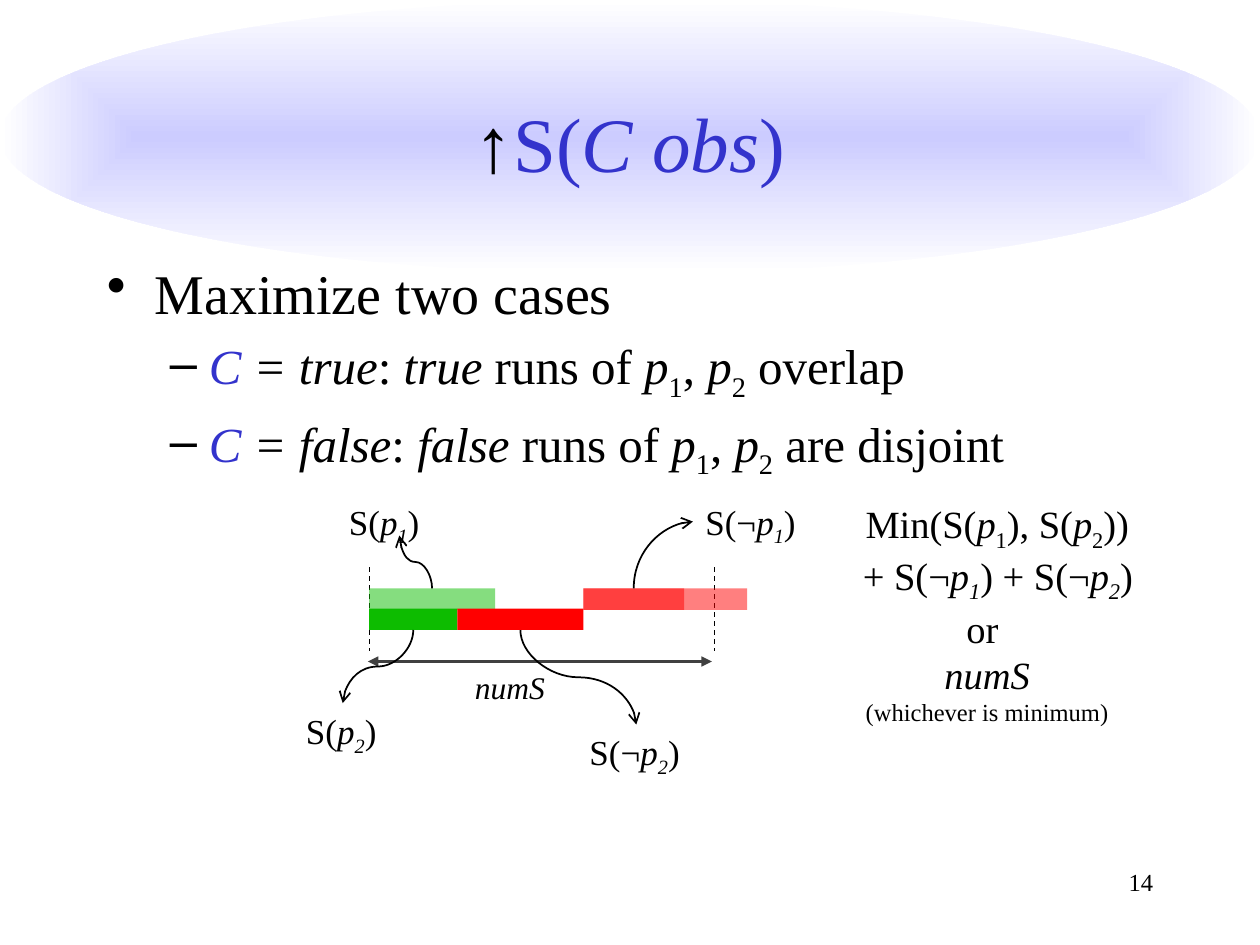
from lxml.etree import SubElement
from pptx import Presentation
from pptx.dml.color import RGBColor
from pptx.enum.dml import MSO_LINE
from pptx.enum.shapes import MSO_CONNECTOR, MSO_SHAPE
from pptx.enum.text import MSO_ANCHOR, MSO_AUTO_SIZE, PP_ALIGN
from pptx.oxml.ns import qn
from pptx.util import Inches, Pt

BLACK, BLUE, GREEN, RED = "000000", "3333CC", "0DBC00", "FF0000"
BAR_HEIGHT = 0.17
UPPER_BAR, LOWER_BAR = 4.67, 4.83


def color(value):
    return RGBColor.from_string(value)


def add_background(slide):
    shape = slide.shapes.add_shape(MSO_SHAPE.OVAL, 0, 0, Inches(10), Inches(2.17))
    shape.shadow.inherit = False
    shape.line.fill.background()
    shape.fill.gradient()
    for stop, value in zip(shape.fill.gradient_stops, ("CCCCFF", "FFFFFF")):
        stop.color.rgb = color(value)
    gradient = shape._element.spPr.find(qn("a:gradFill"))
    gradient.remove(gradient.find(qn("a:lin")))
    shading = SubElement(gradient, qn("a:path"))
    shading.set("path", "shape")
    focus = SubElement(shading, qn("a:fillToRect"))
    for side in "ltrb":
        focus.set(side, "50000")


def add_bar(slide, left, top, width, fill, opacity=100):
    shape = slide.shapes.add_shape(
        MSO_SHAPE.RECTANGLE, Inches(left), Inches(top), Inches(width), Inches(BAR_HEIGHT))
    shape.shadow.inherit = False
    shape.line.fill.background()
    shape.fill.solid()
    shape.fill.fore_color.rgb = color(fill)
    if opacity < 100:
        rgb = shape._element.spPr.find(qn("a:solidFill")).find(qn("a:srgbClr"))
        SubElement(rgb, qn("a:alpha")).set("val", str(opacity * 1000))


def add_line(slide, start, end, width, stroke=BLACK, kind=MSO_CONNECTOR.STRAIGHT,
             head=None, tail=None, dash=None):
    connector = slide.shapes.add_connector(
        kind, *(Inches(value) for value in (*start, *end)))
    connector.line.width = Pt(width)
    connector.line.color.rgb = color(stroke)
    if dash:
        connector.line.dash_style = dash
    outline = connector.line._get_or_add_ln()
    for tag, arrow in (("a:headEnd", head), ("a:tailEnd", tail)):
        if arrow:
            SubElement(outline, qn(tag)).set("type", arrow)
    SubElement(connector._element.spPr, qn("a:effectLst"))
    return connector


def add_curve(slide, start, end, preset="curvedConnector3"):
    (x1, y1), (x2, y2) = start, end
    middle_x, middle_y = (x1 + x2) / 2, (y1 + y2) / 2
    half_x, half_y = (y2 - y1) / 2, (x1 - x2) / 2
    connector = add_line(
        slide, (middle_x - half_x, middle_y - half_y),
        (middle_x + half_x, middle_y + half_y), 1,
        kind=MSO_CONNECTOR.CURVE, tail="arrow")
    properties = connector._element.spPr
    properties.find(qn("a:xfrm")).set("rot", "5400000")
    properties.find(qn("a:prstGeom")).set("prst", preset)


def add_text_box(slide, left, top, width, height, wrap=True):
    box = slide.shapes.add_textbox(
        Inches(left), Inches(top), Inches(width), Inches(height))
    box.text_frame.word_wrap = wrap
    if not wrap:
        box.text_frame.auto_size = MSO_AUTO_SIZE.SHAPE_TO_FIT_TEXT
    return box.text_frame


def write(paragraph, runs, size, align=PP_ALIGN.LEFT):
    paragraph.alignment = align
    paragraph.font.name = "Times New Roman"
    paragraph.font.size = Pt(size)
    paragraph.font.color.rgb = color(BLACK)
    for text, style in runs:
        run = paragraph.add_run()
        run.text = text
        if "i" in style:
            run.font.italic = True
        if "b" in style:
            run.font.color.rgb = color(BLUE)
        if "s" in style:
            run.font._element.set("baseline", "-25000")


def set_bullet(paragraph, character, margin, indent, space):
    paragraph.space_before = Pt(space)
    properties = paragraph._p.get_or_add_pPr()
    properties.set("marL", str(Inches(margin)))
    properties.set("indent", str(Inches(-indent)))
    default_font = properties.find(qn("a:defRPr"))
    bullet_color = properties.makeelement(qn("a:buClr"))
    SubElement(bullet_color, qn("a:srgbClr")).set("val", BLACK)
    bullet = properties.makeelement(qn("a:buChar"), {"char": character})
    default_font.addprevious(bullet_color)
    default_font.addprevious(bullet)


def predicate(number, style="s"):
    return [("p", "i"), (number, style)]


def add_label(slide, left, top, width, prefix, number):
    frame = add_text_box(slide, left, top, width, 0.44, wrap=False)
    write(frame.paragraphs[0], [(prefix, ""), *predicate(number, "is"), (")", "")], 20)


def add_body(slide):
    frame = add_text_box(slide, 0.75, 2, 8.5, 2)
    paragraph = frame.paragraphs[0]
    write(paragraph, [("Maximize two cases", "")], 32)
    set_bullet(paragraph, "•", 0.38, 0.38, 4)
    for value, ending in (("true", " overlap"), ("false", " are disjoint")):
        paragraph = frame.add_paragraph()
        paragraph.level = 1
        write(paragraph, [
            ("C", "ib"), (f" = {value}", "i"), (": ", ""), (value, "i"), (" runs of ", ""),
            *predicate("1"), (", ", ""), *predicate("2"), (ending, "")], 28)
        set_bullet(paragraph, "–", 0.81, 0.31, 6)


def add_diagram(slide):
    for x in (2.93, 5.67):
        add_line(slide, (x, 4.5), (x, 5.17), 0.75, dash=MSO_LINE.DASH)
    add_line(slide, (2.92, 5.25), (5.65, 5.25), 1.75, "404040",
             head="triangle", tail="triangle")
    write(add_text_box(slide, 3.67, 5.25, 1.11, 0.4).paragraphs[0], [("numS", "i")], 18)

    add_bar(slide, 2.93, UPPER_BAR, 1, GREEN, 50)
    add_bar(slide, 2.93, LOWER_BAR, 0.7, GREEN)
    add_bar(slide, 3.63, LOWER_BAR, 1, RED)
    for width in (0.8, 1.3):
        add_bar(slide, 4.63, UPPER_BAR, width, RED, 50)

    add_label(slide, 2.67, 3.92, 0.78, "S(", "1")
    add_label(slide, 2.33, 5.58, 0.78, "S(", "2")
    add_label(slide, 5.5, 3.92, 0.93, "S(¬", "1")
    add_label(slide, 4.58, 5.75, 0.93, "S(¬", "2")

    add_curve(slide, (3.43, 4.67), (3.17, 4.25))
    add_curve(slide, (3.28, 5), (2.72, 5.58))
    add_curve(slide, (5.03, 4.67), (5.5, 4.14), "curvedConnector2")
    add_curve(slide, (4.13, 5), (5.05, 5.75))


def add_formula(slide):
    minimum = add_text_box(slide, 6.58, 3.92, 2.67, 0.77)
    write(minimum.paragraphs[0], [
        ("Min(S(", ""), *predicate("1"), ("), S(", ""), *predicate("2"), ("))", "")],
        22, PP_ALIGN.CENTER)
    total = add_text_box(slide, 6.75, 4.33, 2.67, 0.77)
    write(total.paragraphs[0], [
        ("+ S(¬", ""), *predicate("1", "is"), (") + S(¬", ""),
        *predicate("2", "is"), (")", "")], 22)
    limit = add_text_box(slide, 6.5, 4.75, 2.67, 1.38)
    write(limit.paragraphs[0], [("or ", "")], 22, PP_ALIGN.CENTER)
    write(limit.add_paragraph(), [("numS", "i")], 22, PP_ALIGN.CENTER)
    write(limit.add_paragraph(), [("(whichever is minimum)", "")], 14, PP_ALIGN.CENTER)


def main():
    presentation = Presentation()
    presentation.slide_width = Inches(10)
    presentation.slide_height = Inches(7.5)
    slide = presentation.slides.add_slide(presentation.slide_layouts[6])
    add_background(slide)
    title = add_text_box(slide, 0.75, 0.5, 8.5, 1.25)
    title.vertical_anchor = MSO_ANCHOR.MIDDLE
    write(title.paragraphs[0], [("↑", ""), ("S(", "b"), ("C obs", "ib"), (")", "b")],
          44, PP_ALIGN.CENTER)
    page_number = add_text_box(slide, 7.17, 6.83, 2.08, 0.5)
    write(page_number.paragraphs[0], [("14", "")], 14, PP_ALIGN.RIGHT)
    add_diagram(slide)
    add_formula(slide)
    add_body(slide)
    presentation.save("out.pptx")


if __name__ == "__main__":
    main()
